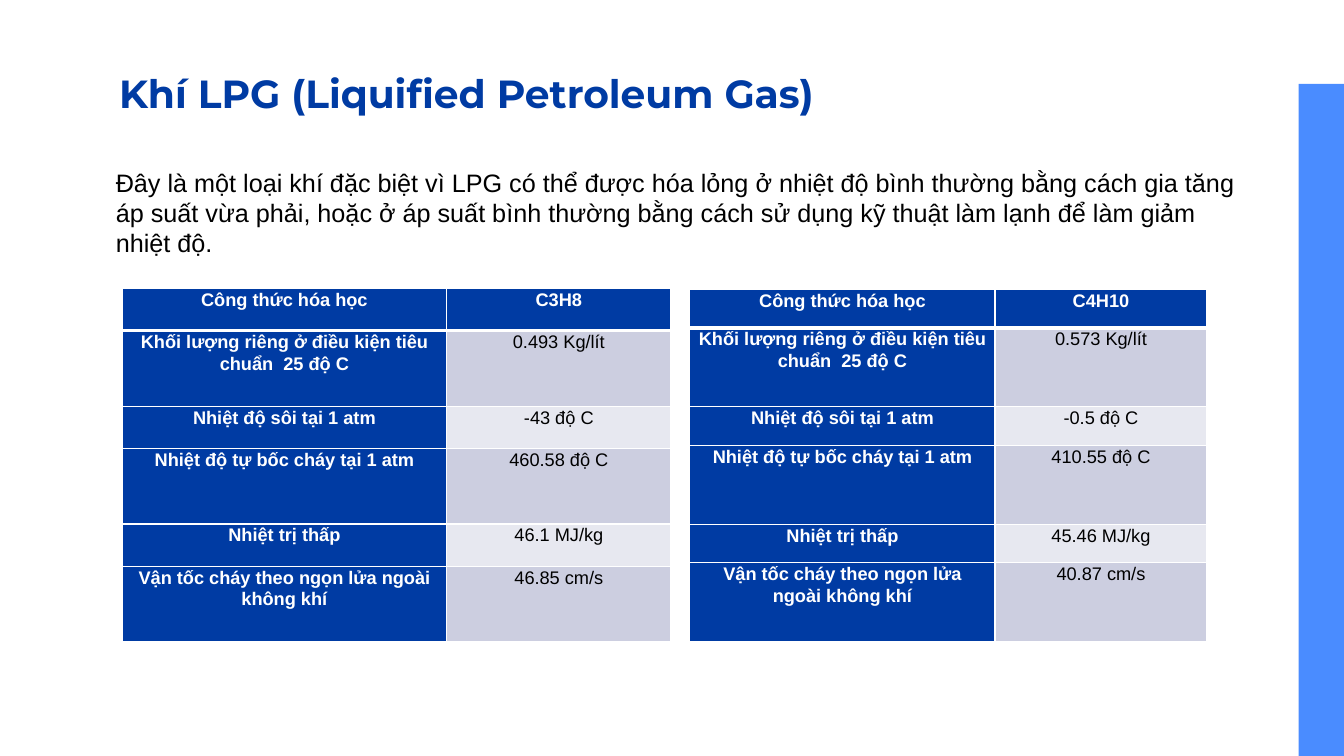
from dataclasses import dataclass

from lxml import etree
from pptx import Presentation
from pptx import util as u
from pptx.dml.color import RGBColor
from pptx.enum import shapes, text
from pptx.oxml import ns
from pptx.slide import Slide
from pptx.table import _Cell
from pptx.text.text import Font

COLORS = {
    "navy": "003BA3",
    "bar": "4A8CFF",
    "white": "FFFFFF",
    "black": "000000",
    "band_dark": "CCCEE0",
    "band_light": "E7E8F0",
}
SLIDE_WIDTH, SLIDE_HEIGHT = u.Inches(13.33), u.Inches(7.5)
PROPERTIES = (
    "Công thức hóa học",
    "Khối lượng riêng ở điều kiện tiêu chuẩn  25 độ C",
    "Nhiệt độ sôi tại 1 atm",
    "Nhiệt độ tự bốc cháy tại 1 atm",
    "Nhiệt trị thấp",
    "Vận tốc cháy theo ngọn lửa ngoài không khí",
)


@dataclass(frozen=True)
class Box:
    """A rectangle in percent of the slide's width and height."""
    left: float
    top: float
    width: float
    height: float

    def place(self) -> tuple[int, int, int, int]:
        return (across(self.left), down(self.top),
                across(self.width), down(self.height))


@dataclass(frozen=True)
class GasTable:
    """One gas; lengths are in percent of the slide's width and height."""
    left: float
    top: float
    columns: tuple[float, float]
    short_row: float
    tall_row: float
    values: tuple[str, ...]


GAS_TABLES = (
    GasTable(9.08, 38.13, (24.15, 16.7), 5.6, 10,
             ("C3H8", "0.493 Kg/lít", "-43 độ C", "460.58 độ C",
              "46.1 MJ/kg", "46.85 cm/s")),
    GasTable(51.31, 38.27, (22.73, 15.75), 5.1, 10.45,
             ("C4H10", "0.573 Kg/lít", "-0.5 độ C", "410.55 độ C",
              "45.46 MJ/kg", "40.87 cm/s")),
)


def across(percent: float) -> int:
    return round(SLIDE_WIDTH * percent / 100)


def down(percent: float) -> int:
    return round(SLIDE_HEIGHT * percent / 100)


def color(name: str) -> RGBColor:
    return RGBColor.from_string(COLORS[name])


def style_font(font: Font, name: str, size: float, color_name: str,
               bold: bool = False) -> None:
    font.name, font.size, font.bold = name, u.Pt(size), bold
    font.color.rgb = color(color_name)


def add_side_bar(slide: Slide) -> None:
    bar = slide.shapes.add_shape(shapes.MSO_SHAPE.RECTANGLE,
                                 *Box(96.62, 11.1, 3.38, 88.9).place())
    bar.shadow.inherit = False
    bar.fill.solid()
    bar.fill.fore_color.rgb = color("bar")
    bar.line.fill.background()


def add_title(slide: Slide) -> None:
    title = slide.shapes.title
    title.left, title.top, title.width, title.height = Box(
        7.88, 7.47, 84.32, 12.53).place()
    frame = title.text_frame
    frame.text = "Khí LPG (Liquified Petroleum Gas)"
    frame.auto_size = text.MSO_AUTO_SIZE.NONE
    frame.vertical_anchor = text.MSO_ANCHOR.TOP
    frame.margin_left = frame.margin_right = u.Inches(0.13)
    frame.margin_top = frame.margin_bottom = u.Inches(0.13)
    paragraph = frame.paragraphs[0]
    paragraph.alignment = text.PP_ALIGN.LEFT
    paragraph.line_spacing = 1.0
    style_font(paragraph.runs[0].font, "Montserrat", 28, "navy", True)


def add_introduction(slide: Slide) -> None:
    frame = slide.shapes.add_textbox(
        *Box(7.88, 21.47, 85.22, 13.47).place()).text_frame
    frame.word_wrap = True
    frame.auto_size = text.MSO_AUTO_SIZE.SHAPE_TO_FIT_TEXT
    frame.text = (
        "Đây là một loại khí đặc biệt vì LPG có thể được hóa lỏng ở nhiệt độ "
        "bình thường bằng cách gia tăng áp suất vừa phải, hoặc ở áp suất bình "
        "thường bằng cách sử dụng kỹ thuật làm lạnh để làm giảm nhiệt độ.")
    style_font(frame.paragraphs[0].runs[0].font, "Arial", 18, "black")


def set_borders(cell: _Cell, top: float, bottom: float) -> None:
    """Draw white borders, one point wide at the sides."""
    properties = cell._tc.get_or_add_tcPr()
    widths = {"a:lnL": 1, "a:lnR": 1, "a:lnT": top, "a:lnB": bottom}
    for index, (tag, width) in enumerate(widths.items()):
        line = etree.Element(ns.qn(tag), w=str(u.Pt(width)))
        fill = etree.SubElement(line, ns.qn("a:solidFill"))
        etree.SubElement(fill, ns.qn("a:srgbClr"), val=COLORS["white"])
        properties.insert(index, line)


def fill_cell(cell: _Cell, wording: str, fill: str, is_heading: bool) -> None:
    cell.fill.solid()
    cell.fill.fore_color.rgb = color(fill)
    cell.margin_left = cell.margin_right = u.Inches(0.07)
    cell.margin_top = cell.margin_bottom = 0
    paragraph = cell.text_frame.paragraphs[0]
    paragraph.text = wording
    paragraph.alignment = text.PP_ALIGN.CENTER
    paragraph.line_spacing = 1.07
    paragraph.space_after = u.Pt(8)
    style_font(paragraph.runs[0].font, "Arial", 13,
               "white" if is_heading else "black", is_heading)


def add_gas_table(slide: Slide, gas: GasTable) -> None:
    heights = (gas.short_row, gas.tall_row) * (len(PROPERTIES) // 2)
    box = Box(gas.left, gas.top, sum(gas.columns), sum(heights))
    table = slide.shapes.add_table(
        len(PROPERTIES), len(gas.columns), *box.place()).table
    for column, width in zip(table.columns, gas.columns):
        column.width = across(width)
    for row, height in enumerate(heights):
        table.rows[row].height = down(height)
        band = "band_dark" if row % 2 else "band_light"
        for column, wording in enumerate((PROPERTIES[row], gas.values[row])):
            is_heading = row == 0 or column == 0
            cell = table.cell(row, column)
            fill_cell(cell, wording, "navy" if is_heading else band, is_heading)
            set_borders(cell, top=3 if row == 1 else 1,
                        bottom=3 if row == 0 else 1)


def main() -> None:
    presentation = Presentation()
    presentation.slide_width = SLIDE_WIDTH
    presentation.slide_height = SLIDE_HEIGHT
    slide = presentation.slides.add_slide(
        presentation.slide_layouts.get_by_name("Title Only"))
    add_side_bar(slide)
    add_title(slide)
    add_introduction(slide)
    for gas in GAS_TABLES:
        add_gas_table(slide, gas)
    presentation.save("out.pptx")


if __name__ == "__main__":
    main()
